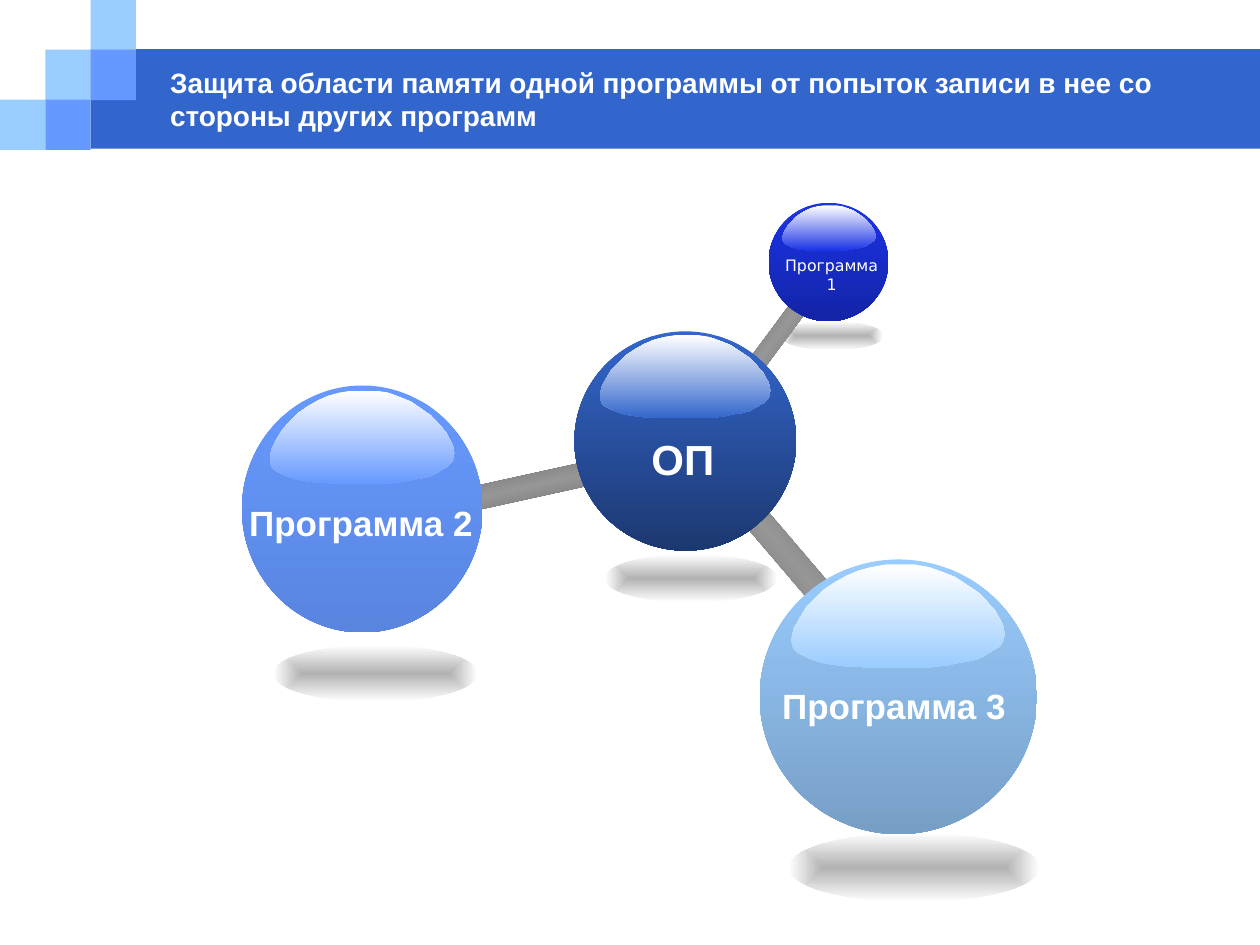
import pptx
import pptx.util
import pptx.dml.color
import pptx.enum.shapes
import pptx.enum.text
import pptx.oxml

Inches = pptx.util.Inches
RGB = pptx.dml.color.RGBColor
KIND = pptx.enum.shapes.MSO_SHAPE
ALIGN = pptx.enum.text.PP_ALIGN
ANCHOR = pptx.enum.text.MSO_ANCHOR
FIT = pptx.enum.text.MSO_AUTO_SIZE

WHITE = RGB(0xFF, 0xFF, 0xFF)
BLUE = RGB(0x33, 0x66, 0xCC)
MID = RGB(0x66, 0x99, 0xFF)
LIGHT = RGB(0x99, 0xCC, 0xFF)
DEEP = RGB(0x1B, 0x33, 0xE7)
GRAY = RGB(0xB2, 0xB2, 0xB2)
STEEL = RGB(0x96, 0x96, 0x96)
EDGE = RGB(0x6B, 0x6B, 0x6B)

TITLE = ("Защита области памяти одной программы от попыток записи "
         "в нее со стороны других программ")

# Header tiles: column, row, colour
TILE_W, TILE_H = 0.36, 0.4
TILES = [(0, 2, LIGHT), (1, 1, LIGHT), (2, 0, LIGHT), (2, 1, MID), (1, 2, MID)]

SHADES = [(6.2, 2.55, 0.81, 0.23), (4.8, 4.4, 1.37, 0.38),
          (6.26, 6.61, 1.99, 0.55), (2.17, 5.12, 1.62, 0.45)]

# Rods: box, turn in degrees
RODS = [((5.71, 4.28, 1.05, 0.21), 229.5), ((3.54, 3.79, 1.1, 0.19), 347.6),
        ((5.85, 2.59, 0.65, 0.14), 306.6)]

BOLD = {"name": "Arial", "bold": True}
SMALL = {"name": "DejaVu Sans", "bold": False}
BALLS = [
    {"text": "ОП", "ball": (4.56, 2.63, 1.76, 1.74), "gloss": (4.76, 2.66, 1.36, 0.66),
     "label": (5.07, 3.39, 0.7, 0.51), "color": BLUE, "dark": 25.7,
     "size": 24, "font": BOLD, "wrap": False},
    {"text": "Программа 1", "ball": (6.1, 1.61, 0.95, 0.94), "gloss": (6.21, 1.63, 0.74, 0.36),
     "label": (6.08, 1.98, 1.04, 0.25), "color": DEEP, "dark": 47.1,
     "size": 9, "font": SMALL, "wrap": True},
    {"text": "Программа 2", "ball": (1.92, 3.06, 1.91, 1.96), "gloss": (2.14, 3.1, 1.47, 0.74),
     "label": (1.87, 3.93, 1.99, 0.44), "color": MID, "dark": 73.7,
     "size": 20, "font": BOLD, "wrap": False},
    {"text": "Программа 3", "ball": (6.03, 4.44, 2.2, 2.18), "gloss": (6.28, 4.48, 1.7, 0.82),
     "label": (6.1, 5.38, 1.99, 0.44), "color": LIGHT, "dark": 56.5,
     "size": 20, "font": BOLD, "wrap": False},
]

# Outline of the highlight on a 170 by 82 grid
GRID_W, GRID_H = 170, 82
GLOSS = [
    (167, 46), (169, 51), (170, 55), (169, 59), (167, 63), (164, 66), (159, 69),
    (154, 72), (148, 75), (140, 77), (133, 78), (124, 80), (115, 81), (106, 82),
    (61, 82), (53, 81), (45, 81), (37, 80), (30, 79), (24, 78), (18, 76),
    (13, 74), (9, 72), (5, 70), (2, 67), (1, 64), (0, 60), (1, 56), (2, 51),
    (7, 42), (12, 34), (19, 27), (26, 20), (35, 14), (44, 9), (53, 5), (64, 2),
    (75, 0), (86, 0), (98, 0), (109, 2), (120, 6), (130, 10), (139, 16),
    (148, 22), (155, 29), (162, 37),
]

NS = 'xmlns:a="http://schemas.openxmlformats.org/drawingml/2006/main"'
DOWN = '<a:lin ang="5400000" scaled="1"/>'
RADIAL = ('<a:path path="shape"><a:fillToRect l="50000" t="50000" '
          'r="50000" b="50000"/></a:path>')


def spots(box):
    return [Inches(v) for v in box]


def plain(shape):
    shape.shadow.inherit = False
    shape.line.fill.background()
    return shape


def add(slide, kind, box, color=None):
    shape = plain(slide.shapes.add_shape(kind, *spots(box)))
    if color is not None:
        shape.fill.solid()
        shape.fill.fore_color.rgb = color
    return shape


def blend(shape, stops, way=DOWN):
    """Fill with a gradient; each stop is (percent, colour, shade percent)."""
    marks = "".join(
        f'<a:gs pos="{pos * 1000}"><a:srgbClr val="{color}">'
        + (f'<a:shade val="{round(dark * 1000)}"/>' if dark < 100 else "")
        + "</a:srgbClr></a:gs>" for pos, color, dark in stops)
    shape.fill.background()
    old = shape.element.spPr.find(
        "{http://schemas.openxmlformats.org/drawingml/2006/main}noFill")
    new = pptx.oxml.parse_xml(
        f'<a:gradFill {NS} rotWithShape="1"><a:gsLst>{marks}</a:gsLst>{way}</a:gradFill>')
    old.getparent().replace(old, new)


def write(frame, text, size, look, align):
    para = frame.paragraphs[0]
    para.alignment = align
    run = para.add_run()
    run.text = text
    run.font.color.rgb = WHITE
    for key, value in {"size": pptx.util.Pt(size), **look}.items():
        setattr(run.font, key, value)


def add_head(slide):
    add(slide, KIND.RECTANGLE, (2 * TILE_W, 0.39, 9.28, 0.79), BLUE)
    for col, row, color in TILES:
        add(slide, KIND.RECTANGLE,
            (col * TILE_W, row * 0.395, TILE_W, TILE_H), color)
    title = slide.shapes.title
    title.element.getparent().append(title.element)
    title.left, title.top, title.width, title.height = spots((1.25, 0.52, 8.08, 0.53))
    frame = title.text_frame
    for key, value in {"word_wrap": True, "auto_size": FIT.NONE,
                       "vertical_anchor": ANCHOR.MIDDLE}.items():
        setattr(frame, key, value)
    write(frame, TITLE, 16, BOLD, ALIGN.LEFT)


def add_ball(slide, item):
    color = item["color"]
    ball = add(slide, KIND.OVAL, item["ball"])
    blend(ball, [(0, color, 100), (100, color, item["dark"])])

    left, top, width, height = spots(item["gloss"])
    path = slide.shapes.build_freeform(
        *GLOSS[0], scale=(width / GRID_W, height / GRID_H))
    path.add_line_segments(GLOSS[1:], close=True)
    gloss = plain(path.convert_to_shape(left, top))
    blend(gloss, [(0, WHITE, 100), (100, color, 100)])

    frame = slide.shapes.add_textbox(*spots(item["label"])).text_frame
    frame.word_wrap = item["wrap"]
    frame.auto_size = FIT.SHAPE_TO_FIT_TEXT
    write(frame, item["text"], item["size"], item["font"], ALIGN.CENTER)


def main():
    deck = pptx.Presentation()
    deck.slide_width, deck.slide_height = Inches(10), Inches(7.5)
    slide = deck.slides.add_slide(deck.slide_layouts[5])
    add_head(slide)
    for box in SHADES:
        blend(add(slide, KIND.OVAL, box),
              [(0, GRAY, 100), (100, WHITE, 100)], RADIAL)
    for box, turn in RODS:
        rod = add(slide, KIND.RECTANGLE, box)
        rod.rotation = turn
        blend(rod, [(0, EDGE, 100), (50, STEEL, 100), (100, EDGE, 100)])
    for item in BALLS:
        add_ball(slide, item)
    deck.save("out.pptx")


if __name__ == "__main__":
    main()
